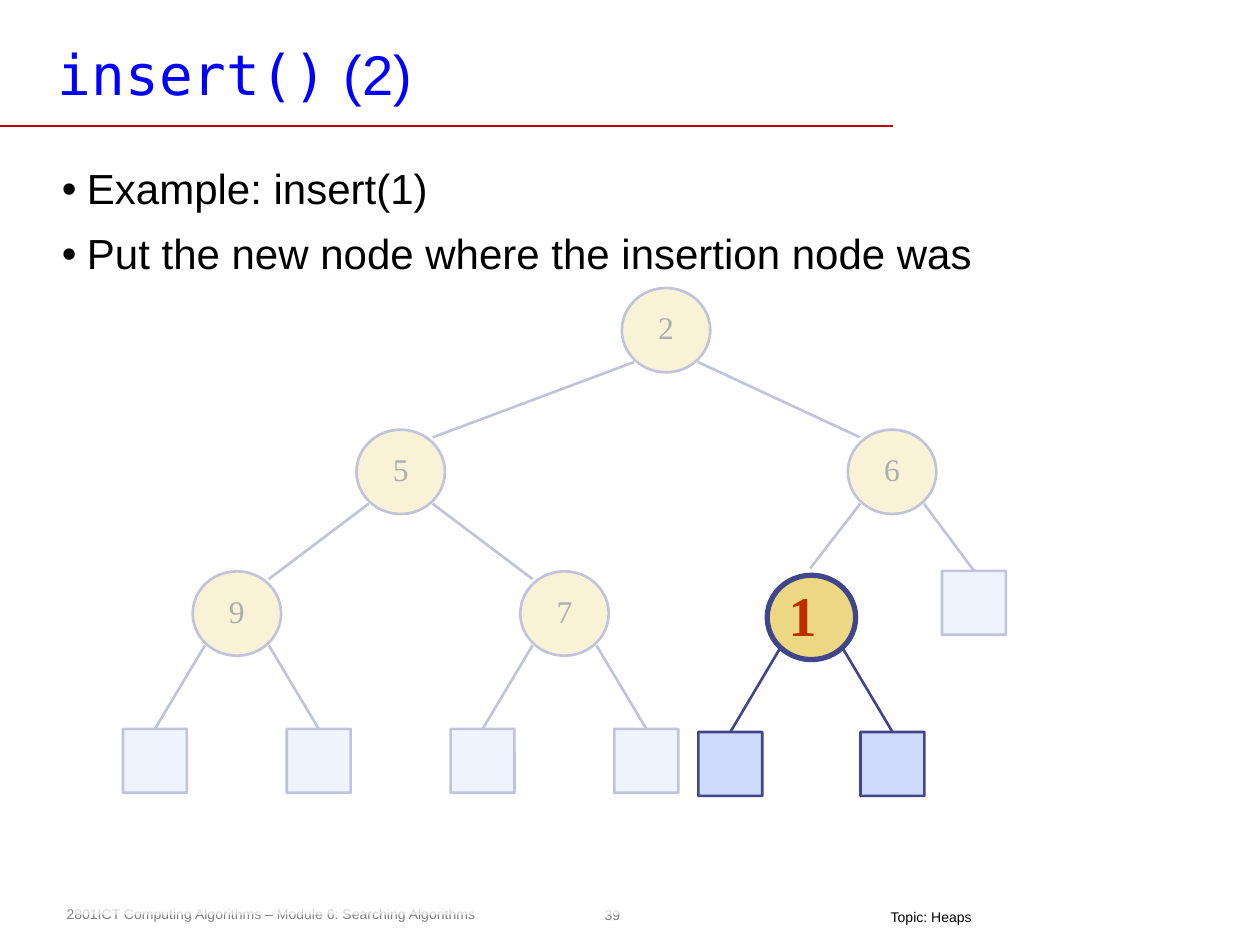
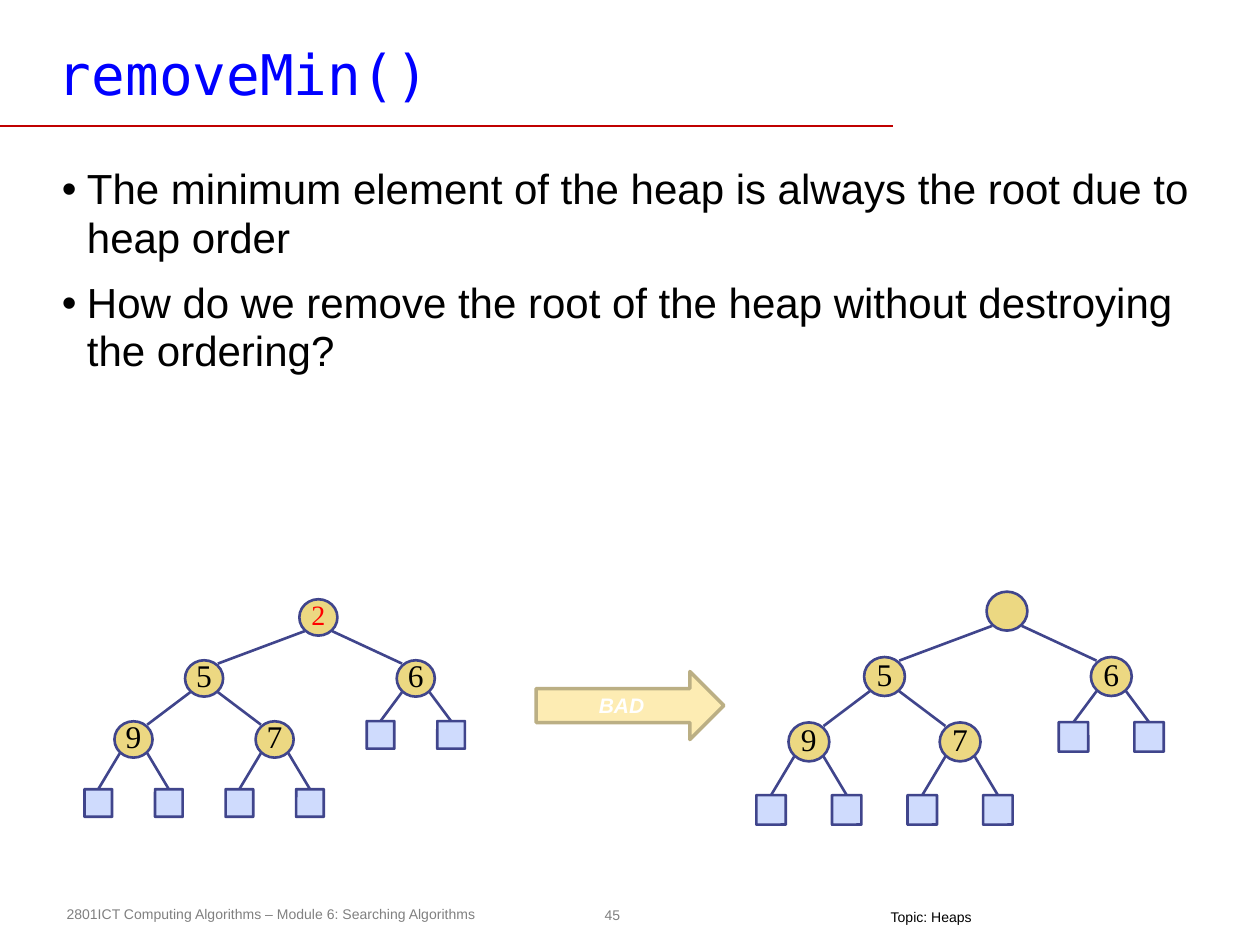
from lxml.etree import SubElement
from pptx import Presentation
from pptx.dml.color import RGBColor
from pptx.enum.shapes import MSO_CONNECTOR, MSO_SHAPE
from pptx.enum.text import MSO_ANCHOR, MSO_AUTO_SIZE, PP_ALIGN
from pptx.oxml.ns import qn
from pptx.util import Inches, Pt

BLACK = RGBColor(0x00, 0x00, 0x00)
WHITE = RGBColor(0xFF, 0xFF, 0xFF)
GREY = RGBColor(0x80, 0x80, 0x80)
TITLE_BLUE = RGBColor(0x00, 0x00, 0xFF)
RULE_RED = RGBColor(0xC0, 0x00, 0x00)
ROOT_RED = RGBColor(0xFF, 0x00, 0x00)
NEW_KEY_RED = RGBColor(0xBE, 0x2D, 0x00)
NODE_GOLD = RGBColor(0xEC, 0xD8, 0x82)
LEAF_BLUE = RGBColor(0xCF, 0xDB, 0xFD)
OUTLINE = RGBColor(0x40, 0x45, 0x8C)
ARROW_FILL = RGBColor(0xFD, 0xEC, 0xB3)
ARROW_LINE = RGBColor(0xBB, 0xAF, 0x84)

SANS, MONO, SERIF = "Arial", "DejaVu Sans Mono", "Times New Roman"
COURSE = "2801ICT Computing Algorithms – Module 6: Searching Algorithms"

# Heap positions in tree units: column and row from the leftmost leaf and the root
NODES = {"2": (6.24, 0), "5": (3, 1.73), "6": (9, 1.73), "9": (1, 3.46), "7": (5, 3.46)}
NODE_EDGES = [("2", "5"), ("2", "6"), ("5", "9"), ("5", "7")]
DEEP_ROW, SHALLOW_ROW = 5.26, 3.33
LEAVES = [("9", 0, DEEP_ROW), ("9", 2, DEEP_ROW), ("7", 4, DEEP_ROW),
          ("7", 6, DEEP_ROW), ("6", 8, SHALLOW_ROW), ("6", 10, SHALLOW_ROW)]
NODE_WIDTH, NODE_HEIGHT, LEAF_SIZE = 1.08, 1.03, 0.78
EDGE_OFFSET = 0.39


def add_run(paragraph, text, size, color, font=SANS, bold=False, italic=False):
    run = paragraph.add_run()
    run.text = text
    run.font.name = font
    run.font.size = Pt(size)
    run.font.color.rgb = color
    run.font.bold = bold
    run.font.italic = italic


def place(shape, left, top, width, height):
    shape.left, shape.top = Inches(left), Inches(top)
    shape.width, shape.height = Inches(width), Inches(height)


def set_margins(frame, left, top, right, bottom):
    frame.margin_left, frame.margin_top = Inches(left), Inches(top)
    frame.margin_right, frame.margin_bottom = Inches(right), Inches(bottom)


def add_line(slide, start, end, color=OUTLINE, width=1.5):
    points = [Inches(value) for value in (*start, *end)]
    line = slide.shapes.add_connector(MSO_CONNECTOR.STRAIGHT, *points)
    line.line.color.rgb = color
    line.line.width = Pt(width)
    SubElement(line._element.spPr, qn("a:effectLst"))
    return line


def add_box(slide, kind, center, width, height, fill, outline=OUTLINE, line_width=1.5):
    """Add a filled preset shape around its center; no outline when it is None."""
    x, y = center
    shape = slide.shapes.add_shape(kind, Inches(x - width / 2), Inches(y - height / 2),
                                   Inches(width), Inches(height))
    shape.shadow.inherit = False
    shape.fill.solid()
    shape.fill.fore_color.rgb = fill
    if outline is None:
        shape.line.fill.background()
    else:
        shape.line.color.rgb = outline
        shape.line.width = Pt(line_width)
    return shape


def add_caption(slide, text, box, margins, color, centered=False):
    caption = slide.shapes.add_textbox(*[Inches(value) for value in box])
    frame = caption.text_frame
    frame.word_wrap = False
    set_margins(frame, *margins)
    paragraph = frame.paragraphs[0]
    if centered:
        frame.vertical_anchor = MSO_ANCHOR.MIDDLE
        paragraph.alignment = PP_ALIGN.CENTER
    add_run(paragraph, text, 8, color)


def add_node(slide, center, unit, label, size=18, color=BLACK, bold=False,
             line_width=1.5, right_margin=0):
    node = add_box(slide, MSO_SHAPE.OVAL, center, NODE_WIDTH * unit, NODE_HEIGHT * unit,
                   NODE_GOLD, line_width=line_width)
    if label:
        frame = node.text_frame
        frame.word_wrap = False
        frame.vertical_anchor = MSO_ANCHOR.MIDDLE
        set_margins(frame, 0, 0, right_margin, 0.05)
        frame.paragraphs[0].alignment = PP_ALIGN.CENTER
        add_run(frame.paragraphs[0], label, size, color, SERIF, bold)


def add_leaf(slide, center, unit):
    leaf = add_box(slide, MSO_SHAPE.ROUNDED_RECTANGLE, center,
                   LEAF_SIZE * unit, LEAF_SIZE * unit, LEAF_BLUE)
    leaf.adjustments[0] = 0.007
    return leaf


def add_edge(slide, parent, child, unit, leaf=None, child_is_node=False):
    """Join a parent to a node's upper shoulder or to the top of a leaf."""
    offset = EDGE_OFFSET * unit
    side = offset if child[0] > parent[0] else -offset
    start = parent[0] + side, parent[1] + offset
    end = child[0] - (side if child_is_node else 0), child[1] - 0.42 * unit
    edge = add_line(slide, start, end)
    if leaf is not None:
        edge.end_connect(leaf, 0)


def add_heap(slide, left, top, unit, root_label="2", root_size=18, root_color=BLACK,
             insertion_column=None):
    """Draw the heap; the leaf in insertion_column is left open for a new node."""
    def position(column, row):
        return left + column * unit, top + row * unit

    centers = {key: position(*cell) for key, cell in NODES.items()}
    for key, center in centers.items():
        if key == "2":
            add_node(slide, center, unit, root_label, root_size, root_color)
        else:
            add_node(slide, center, unit, key)
    for parent, child in NODE_EDGES:
        add_edge(slide, centers[parent], centers[child], unit, child_is_node=True)
    for parent, column, row in LEAVES:
        center = position(column, row)
        leaf = None if column == insertion_column else add_leaf(slide, center, unit)
        add_edge(slide, centers[parent], center, unit, leaf)


def add_new_node(slide, center, unit):
    add_node(slide, center, unit, "1", 32, NEW_KEY_RED, bold=True,
             line_width=3, right_margin=0.14)
    for side in (-1, 1):
        leaf_center = center[0] + side * 0.99 * unit, center[1] + 1.79 * unit
        add_edge(slide, center, leaf_center, unit, add_leaf(slide, leaf_center, unit))


def add_veil(slide):
    """Fade everything below the list with translucent white."""
    veil = add_box(slide, MSO_SHAPE.RECTANGLE, (5.21, 4.72), 9.25, 5.08, WHITE, None)
    color = veil._element.spPr.find(qn("a:solidFill"))[0]
    SubElement(color, qn("a:alpha"), val="68000")


def add_bad_arrow(slide):
    arrow = add_box(slide, MSO_SHAPE.RIGHT_ARROW, (5, 5.6), 1.49, 0.54,
                    ARROW_FILL, ARROW_LINE, 2)
    frame = arrow.text_frame
    frame.vertical_anchor = MSO_ANCHOR.MIDDLE
    set_margins(frame, 0, 0, 0, 0)
    frame.paragraphs[0].alignment = PP_ALIGN.CENTER
    add_run(frame.paragraphs[0], "BAD", 12, WHITE, bold=True, italic=True)


def fill_title(title, runs):
    place(title, 0.39, 0.28, 7.42, 0.6)
    frame = title.text_frame
    frame.auto_size = MSO_AUTO_SIZE.NONE
    frame.vertical_anchor = MSO_ANCHOR.MIDDLE
    set_margins(frame, 0.07, 0.03, 0.07, 0.03)
    frame.paragraphs[0].alignment = PP_ALIGN.LEFT
    for text, font in runs:
        add_run(frame.paragraphs[0], text, 32, TITLE_BLUE, font)


def fill_list(body, items):
    place(body, 0.39, 1.26, 9.31, 5.48)
    frame = body.text_frame
    frame.auto_size = MSO_AUTO_SIZE.NONE
    set_margins(frame, 0.1, 0.05, 0.1, 0.05)
    for index, item in enumerate(items):
        paragraph = frame.add_paragraph() if index else frame.paragraphs[0]
        paragraph.line_spacing = 0.97
        paragraph.space_before = Pt(9.2 if index else 0)
        properties = paragraph._p.get_or_add_pPr()
        properties.set("marL", str(Inches(0.2)))
        properties.set("indent", str(Inches(-0.2)))
        SubElement(properties, qn("a:buChar"), char="•")
        add_run(paragraph, item, 24, BLACK)


def add_content_slide(presentation, title_runs, items, number):
    slide = presentation.slides.add_slide(presentation.slide_layouts[1])
    fill_title(slide.shapes.title, title_runs)
    fill_list(slide.placeholders[1], items)
    add_line(slide, (0, 1), (7.09, 1), RULE_RED, 1)
    add_caption(slide, COURSE, (0.43, 7.14, 3.64, 0.24), (0.1, 0.05, 0.1, 0.05), GREY)
    add_caption(slide, number, (4.74, 7.13, 0.24, 0.26), (0.04,) * 4, GREY, centered=True)
    return slide


def add_topic(slide):
    add_caption(slide, "Topic: Heaps", (6.97, 7.21, 0.85, 0.17), (0.1, 0, 0.1, 0.04), BLACK)


def main():
    presentation = Presentation()
    presentation.slide_width, presentation.slide_height = Inches(10), Inches(7.5)

    insertion = add_content_slide(
        presentation, [("insert()", MONO), (" (2)", SANS)],
        ["Example: insert(1)", "Put the new node where the insertion node was"], "39")
    add_heap(insertion, 1.23, 2.62, 0.65, insertion_column=8)
    add_veil(insertion)
    add_new_node(insertion, (6.44, 4.9), 0.65)
    add_topic(insertion)

    removal = add_content_slide(
        presentation, [("removeMin()", MONO)],
        ["The minimum element of the heap is always the root due to heap order",
         "How do we remove the root of the heap without destroying the ordering?"], "45")
    add_heap(removal, 0.78, 4.9, 0.28, root_size=16, root_color=ROOT_RED)
    add_heap(removal, 6.12, 4.85, 0.3, root_label="")
    add_bad_arrow(removal)
    add_topic(removal)

    presentation.save("out.pptx")


if __name__ == "__main__":
    main()
